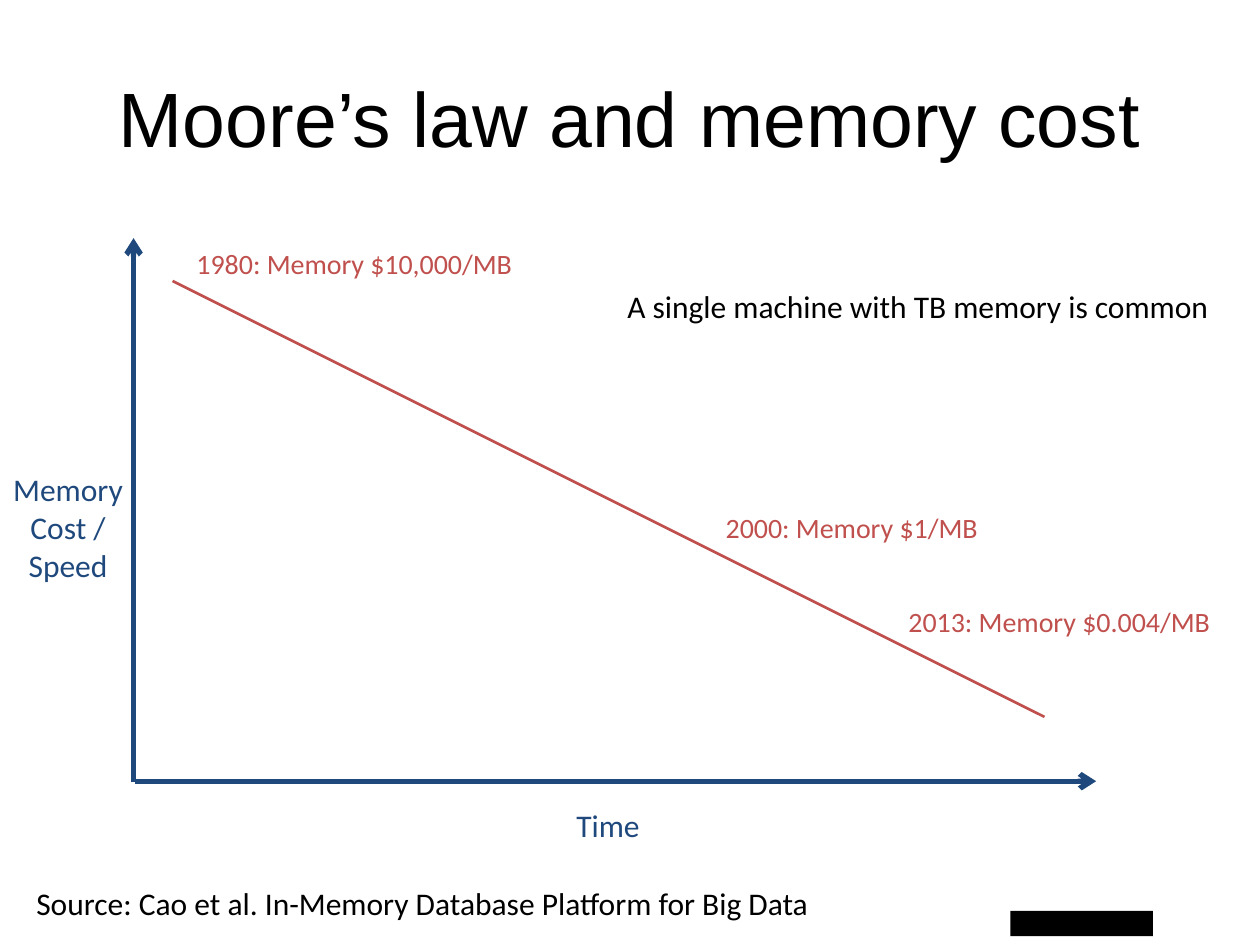
from lxml import etree
from pptx import Presentation
from pptx.dml.color import RGBColor
from pptx.enum.shapes import MSO_CONNECTOR, MSO_SHAPE
from pptx.enum.text import MSO_ANCHOR, MSO_AUTO_SIZE, PP_ALIGN
from pptx.oxml.ns import qn
from pptx.util import Inches, Pt

BLACK = RGBColor(0x00, 0x00, 0x00)
NAVY = RGBColor(0x1F, 0x49, 0x7D)
RED = RGBColor(0xC0, 0x50, 0x4D)
STRAIGHT = MSO_CONNECTOR.STRAIGHT
RECTANGLE = MSO_SHAPE.RECTANGLE
MIDDLE = MSO_ANCHOR.MIDDLE
GROW = MSO_AUTO_SIZE.SHAPE_TO_FIT_TEXT
LEFT, CENTER = PP_ALIGN.LEFT, PP_ALIGN.CENTER
TITLE_ONLY = 5


class SlideBuilder:
    title_font = "Arial"
    body_font = "Calibri"

    def __init__(self, presentation):
        self.slide = presentation.slides.add_slide(
            presentation.slide_layouts[TITLE_ONLY])

    def add_lines(self, paragraph, text, size, color, font, align):
        paragraph.alignment = align
        for index, line in enumerate(text.split("\n")):
            if index:
                paragraph.add_line_break()
            run = paragraph.add_run()
            run.text = line
            run.font.name = font
            run.font.size = Pt(size)
            run.font.color.rgb = color

    def title(self, text, left, top, width, height):
        heading = self.slide.shapes.title
        heading.left, heading.top = Inches(left), Inches(top)
        heading.width, heading.height = Inches(width), Inches(height)
        frame = heading.text_frame
        frame.vertical_anchor = MIDDLE
        self.add_lines(frame.paragraphs[0], text, 44, BLACK,
                       self.title_font, CENTER)

    def bar(self, *box):
        bar = self.slide.shapes.add_shape(RECTANGLE, *map(Inches, box))
        bar.shadow.inherit = False
        bar.fill.solid()
        bar.fill.fore_color.rgb = BLACK
        bar.line.fill.background()

    def line(self, start, end, color, width, arrow=False):
        line = self.slide.shapes.add_connector(
            STRAIGHT, *map(Inches, start + end))
        line.line.color.rgb = color
        line.line.width = Pt(width)
        properties = line._element.spPr
        if arrow:
            etree.SubElement(properties.get_or_add_ln(), qn("a:tailEnd"),
                             type="arrow")
        etree.SubElement(properties, qn("a:effectLst"))

    def text(self, text, box, size=18, color=BLACK, align=LEFT):
        frame = self.slide.shapes.add_textbox(*map(Inches, box)).text_frame
        frame.word_wrap = True
        frame.auto_size = GROW
        self.add_lines(frame.paragraphs[0], text, size, color,
                       self.body_font, align)
        return frame

    def label(self, text, box, size, color, align=LEFT):
        frame = self.text(text, box, size, color, align)
        frame.word_wrap = False
        frame.margin_left = frame.margin_right = 0
        frame.margin_top = frame.margin_bottom = 0


def main():
    presentation = Presentation()
    presentation.slide_width = Inches(10)
    presentation.slide_height = Inches(7.5)
    builder = SlideBuilder(presentation)

    builder.bar(8.02, 7.23, 1.13, 0.2)
    builder.title("Moore’s law and memory cost", 0, 0.3, 10, 1.25)

    builder.line((1.06, 6.21), (1.06, 1.89), NAVY, 3, arrow=True)
    builder.line((1.07, 6.2), (8.7, 6.2), NAVY, 3, arrow=True)
    builder.line((1.37, 2.23), (8.29, 5.69), RED, 1.5)

    prices = [
        ("1980: Memory $10,000/MB", 1.56, 1.96, 2.54),
        ("2000: Memory $1/MB", 5.76, 4.05, 2.03),
        ("2013: Memory $0.004/MB", 7.21, 4.8, 2.42),
    ]
    for price, left, top, width in prices:
        builder.label(price, (left, top, width, 0.27), 16, RED)

    builder.label("Time", (4.57, 6.4, 0.51, 0.3), 18, NAVY, CENTER)
    builder.label("Memory\nCost /\nSpeed", (0.1, 3.73, 0.88, 0.91),
                  18, NAVY, CENTER)
    builder.text("Source: Cao et al. In-Memory Database Platform for Big Data",
                 (0.19, 6.97, 6.44, 0.4))
    builder.text("A single machine with TB memory is common",
                 (4.88, 2.23, 5.12, 0.4))

    presentation.save("out.pptx")


if __name__ == "__main__":
    main()
